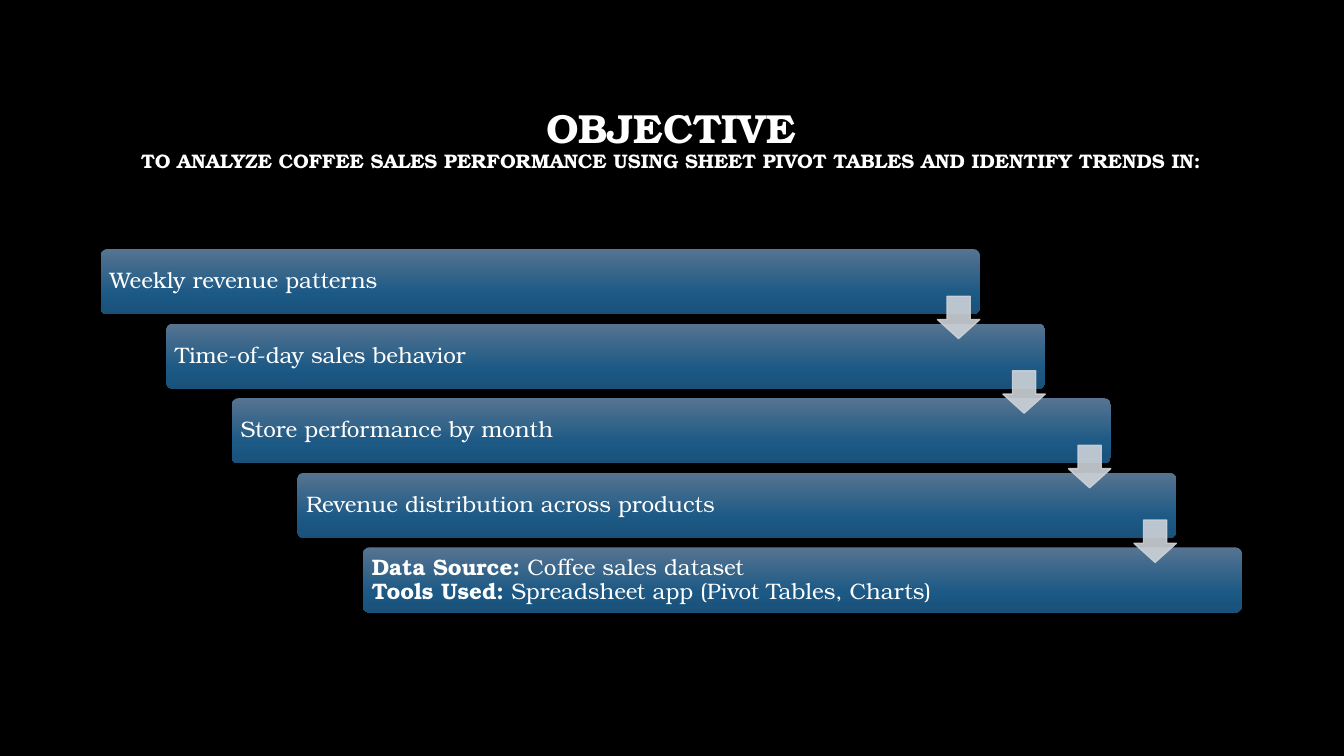
from dataclasses import dataclass

from lxml.etree import SubElement
from pptx import Presentation
from pptx.dml.color import RGBColor
from pptx.enum.shapes import MSO_SHAPE
from pptx.enum.text import MSO_ANCHOR, PP_ALIGN
from pptx.oxml import parse_xml
from pptx.oxml.ns import nsdecls, qn
from pptx.shapes.autoshape import Shape
from pptx.slide import Slide
from pptx.util import Pt

BLACK = RGBColor(0x00, 0x00, 0x00)
WHITE = RGBColor(0xFF, 0xFF, 0xFF)
SILVER = RGBColor(0xCD, 0xD2, 0xD8)
STEEL = RGBColor(0x56, 0x74, 0x91)
BLUE = RGBColor(0x1C, 0x59, 0x85)
NAVY = RGBColor(0x19, 0x51, 0x79)
SHADES = [(0, STEEL), (69, BLUE), (100, NAVY)]

FONT = "TeX Gyre Bonum"
STEP_X, STEP_Y = 46.8, 53.28


@dataclass(frozen=True)
class Part:
    text: str
    size: float = 16
    bold: bool = False


@dataclass(frozen=True)
class Box:
    left: float
    top: float
    width: float
    height: float

    def shift(self, count: int) -> "Box":
        return Box(self.left + count * STEP_X, self.top + count * STEP_Y,
                   self.width, self.height)

    def place(self) -> list[Pt]:
        return [Pt(self.left), Pt(self.top), Pt(self.width), Pt(self.height)]


TITLE = Box(72, 48.24, 815.04, 104.4)
BAR = Box(72, 177.84, 627.84, 46.6)
ARROW = Box(669.6, 211.6, 30.24, 30.24)

HEAD = [
    [Part("OBJECTIVE", 29, True)],
    [Part("TO ANALYZE COFFEE SALES PERFORMANCE USING SHEET "
          "PIVOT TABLES AND IDENTIFY TRENDS IN:", 14, True)],
]
STEPS = [
    [[Part("Weekly revenue patterns")]],
    [[Part("Time-of-day sales behavior")]],
    [[Part("Store performance by month")]],
    [[Part("Revenue distribution across products")]],
    [
        [Part("Data Source:", bold=True), Part(" Coffee sales dataset")],
        [Part("Tools Used:", bold=True),
         Part(" Spreadsheet app (Pivot Tables, Charts)")],
    ],
]


def write(shape: Shape, lines: list[list[Part]], *, align: PP_ALIGN,
          inset: float) -> None:
    frame = shape.text_frame
    frame.word_wrap = True
    frame.vertical_anchor = MSO_ANCHOR.MIDDLE
    frame.margin_left = frame.margin_right = Pt(inset)
    frame.margin_top = frame.margin_bottom = Pt(min(inset, 5))
    para = frame.paragraphs[0]
    para.alignment = align
    para.line_spacing = 0.9
    for index, line in enumerate(lines):
        if index:
            para.add_line_break()
        for part in line:
            run = para.add_run()
            run.text = part.text
            run.font.name = FONT
            run.font.size = Pt(part.size)
            run.font.bold = part.bold
            run.font.color.rgb = WHITE


def shade(shape: Shape) -> None:
    shape.fill.gradient()
    shape.fill.gradient_angle = 270
    stops = shape._element.spPr.find(qn("a:gradFill")).find(qn("a:gsLst"))
    for stop in list(stops):
        stops.remove(stop)
    for spot, tint in SHADES:
        stops.append(parse_xml(
            f'<a:gs {nsdecls("a")} pos="{spot * 1000}">'
            f'<a:srgbClr val="{tint}"/></a:gs>'))


def draw_bar(slide: Slide, box: Box, lines: list[list[Part]]) -> None:
    bar = slide.shapes.add_shape(MSO_SHAPE.ROUNDED_RECTANGLE, *box.place())
    bar.adjustments[0] = 0.1
    bar.shadow.inherit = False
    bar.line.fill.background()
    shade(bar)
    write(bar, lines, align=PP_ALIGN.LEFT, inset=5)


def draw_arrow(slide: Slide, box: Box) -> None:
    arrow = slide.shapes.add_shape(MSO_SHAPE.DOWN_ARROW, *box.place())
    arrow.adjustments[0] = 0.55
    arrow.adjustments[1] = 0.45
    arrow.shadow.inherit = False
    arrow.line.width = Pt(1)
    for fill in (arrow.fill, arrow.line.fill):
        fill.solid()
        fill.fore_color.rgb = SILVER
    for tint in arrow._element.spPr.iter(qn("a:srgbClr")):
        SubElement(tint, qn("a:alpha"), val="90000")


def main() -> None:
    deck = Presentation()
    deck.slide_width, deck.slide_height = Pt(960), Pt(540)
    slide = deck.slides.add_slide(deck.slide_layouts[6])
    slide.background.fill.solid()
    slide.background.fill.fore_color.rgb = BLACK

    title = slide.shapes.add_textbox(*TITLE.place())
    write(title, HEAD, align=PP_ALIGN.CENTER, inset=7.2)
    for index, lines in enumerate(STEPS):
        draw_bar(slide, BAR.shift(index), lines)
    for index in range(len(STEPS) - 1):
        draw_arrow(slide, ARROW.shift(index))
    deck.save("out.pptx")


if __name__ == "__main__":
    main()
